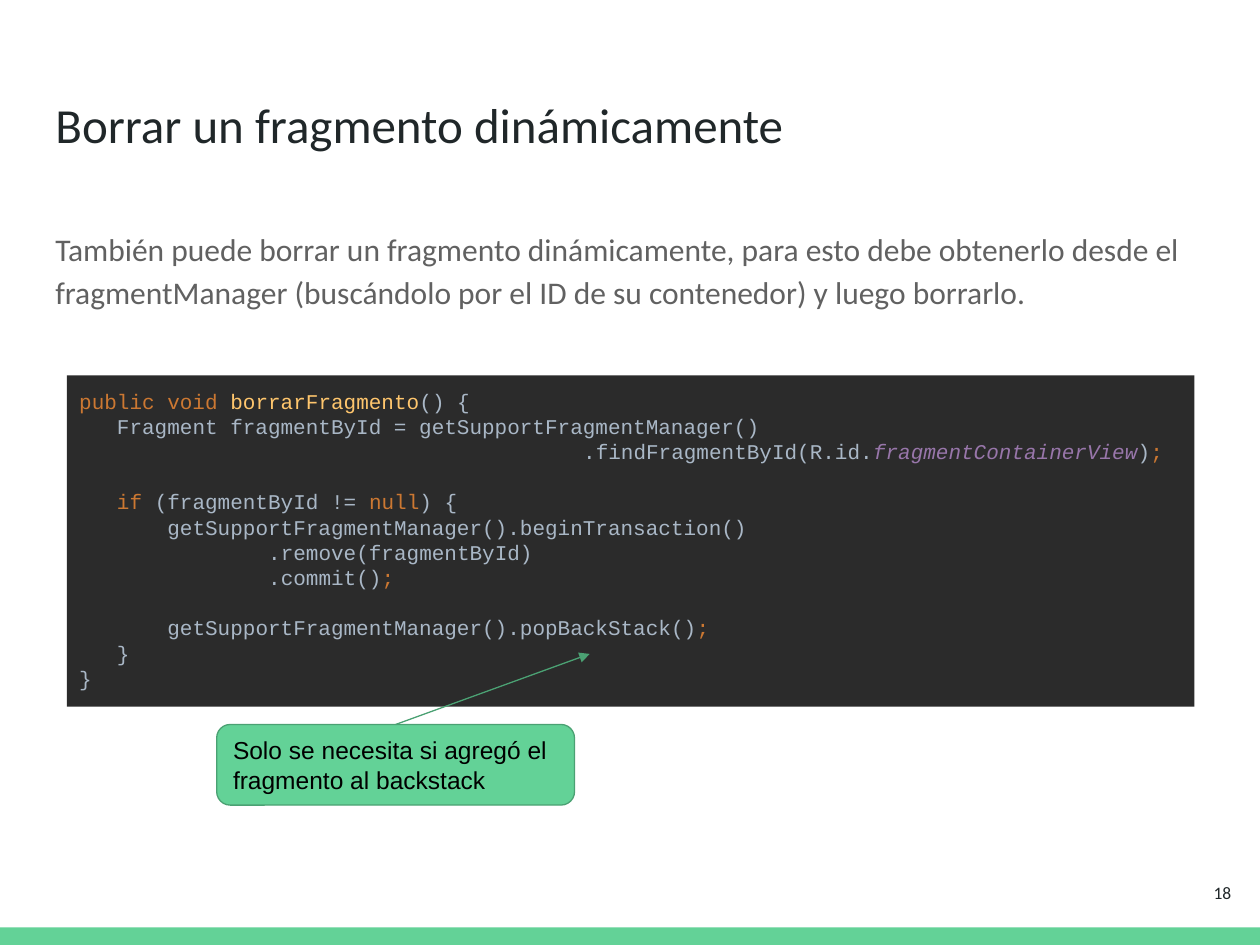
from lxml import etree
from pptx import Presentation
from pptx.dml.color import RGBColor
from pptx.enum.shapes import MSO_CONNECTOR, MSO_SHAPE
from pptx.enum.text import MSO_ANCHOR, MSO_AUTO_SIZE, PP_ALIGN
from pptx.oxml.ns import qn
from pptx.util import Inches, Pt

GREEN, DARK_GREEN, INK, GREY = "63D297", "4BA173", "202729", "616161"
CODE_BG, KEYWORD, METHOD, PLAIN, FIELD = "2B2B2B", "CC7832", "FFC66D", "A9B7C6", "9876AA"
CHAR_WIDTH = 0.1
LINE_HEIGHT = 14.4

# Each line: indent in characters, blank lines before it, coloured parts
CODE = [
    (0, 0, [("public void ", KEYWORD), ("borrarFragmento", METHOD), ("() {", PLAIN)]),
    (3, 0, [("Fragment fragmentById = getSupportFragmentManager()", PLAIN)]),
    (40, 0, [(".findFragmentById(R.id.", PLAIN), ("fragmentContainerView", FIELD),
             (")", PLAIN), (";", KEYWORD)]),
    (3, 1, [("if ", KEYWORD), ("(fragmentById != ", PLAIN), ("null", KEYWORD), (") {", PLAIN)]),
    (7, 0, [("getSupportFragmentManager().beginTransaction()", PLAIN)]),
    (15, 0, [(".remove(fragmentById)", PLAIN)]),
    (15, 0, [(".commit()", PLAIN), (";", KEYWORD)]),
    (7, 1, [("getSupportFragmentManager().popBackStack()", PLAIN), (";", KEYWORD)]),
    (3, 0, [("}", PLAIN)]),
    (0, 0, [("}", PLAIN)]),
]


def rgb(value):
    return RGBColor.from_string(value)


def set_attrs(obj, values):
    for name, value in values.items():
        setattr(obj, name, value)


def prepare_frame(sp, anchor=MSO_ANCHOR.TOP):
    tf = sp.text_frame
    margins = {f"margin_{side}": Inches(0.1) for side in ("left", "top", "right", "bottom")}
    set_attrs(tf, {**margins, "word_wrap": True, "auto_size": MSO_AUTO_SIZE.NONE,
                   "vertical_anchor": anchor})
    return tf


def add_run(p, text, size, font, color, italic=False):
    r = p.add_run()
    r.text = text
    set_attrs(r.font, {"size": Pt(size), "name": font, "italic": italic})
    r.font.color.rgb = rgb(color)


def add_box(slide, kind, box, fill, line=None):
    sp = slide.shapes.add_shape(kind, *map(Inches, box))
    sp.shadow.inherit = False
    sp.fill.solid()
    sp.fill.fore_color.rgb = rgb(fill)
    if line:
        sp.line.color.rgb = rgb(line)
        sp.line.width = Pt(0.75)
    else:
        sp.line.fill.background()
    return sp


def add_title(slide, box, text):
    sp = slide.shapes.title
    set_attrs(sp, dict(zip(("left", "top", "width", "height"), map(Inches, box))))
    p = prepare_frame(sp).paragraphs[0]
    p.alignment = PP_ALIGN.LEFT
    add_run(p, text, 28, "Calibri", INK)


def add_text(slide, box, text, size, color, anchor=MSO_ANCHOR.TOP, **paragraph):
    sp = slide.shapes.add_textbox(*map(Inches, box))
    p = prepare_frame(sp, anchor).paragraphs[0]
    set_attrs(p, paragraph)
    add_run(p, text, size, "Calibri", color)


def add_code(slide, box, lines):
    tf = prepare_frame(add_box(slide, MSO_SHAPE.RECTANGLE, box, CODE_BG))
    for i, (indent, blanks, parts) in enumerate(lines):
        p = tf.add_paragraph() if i else tf.paragraphs[0]
        set_attrs(p, {"alignment": PP_ALIGN.LEFT, "line_spacing": Pt(LINE_HEIGHT),
                      "space_before": Pt(blanks * LINE_HEIGHT)})
        p._p.get_or_add_pPr().set("marL", str(Inches(indent * CHAR_WIDTH)))
        for text, color in parts:
            add_run(p, text, 12, "Courier New", color, italic=color == FIELD)


def add_callout(slide, box, text, target):
    """Rounded note with an arrow from its top to the target point."""
    note = add_box(slide, MSO_SHAPE.ROUNDED_RECTANGLE, box, GREEN, DARK_GREEN)
    p = prepare_frame(note, MSO_ANCHOR.MIDDLE).paragraphs[0]
    p.alignment = PP_ALIGN.LEFT
    add_run(p, text, 14, "Arial", "000000")

    arrow = slide.shapes.add_connector(MSO_CONNECTOR.STRAIGHT, 0, 0, *map(Inches, target))
    arrow.begin_connect(note, 0)
    arrow.line.color.rgb = rgb(DARK_GREEN)
    arrow.line.width = Pt(0.75)
    etree.SubElement(arrow.line._get_or_add_ln(), qn("a:tailEnd"), type="triangle")
    etree.SubElement(arrow._element.spPr, qn("a:effectLst"))


def main():
    prs = Presentation()
    prs.slide_width, prs.slide_height = Inches(10), Inches(7.5)
    slide = prs.slides.add_slide(prs.slide_layouts[5])

    add_box(slide, MSO_SHAPE.RECTANGLE, (0, 7.36, 10, 0.14), GREEN)
    add_title(slide, (0.34, 0.65, 9.32, 0.83), "Borrar un fragmento dinámicamente")
    add_text(slide, (0.34, 1.68, 9.32, 1.37),
             "También puede borrar un fragmento dinámicamente, para esto debe obtenerlo desde el "
             "fragmentManager (buscándolo por el ID de su contenedor) y luego borrarlo.",
             18, GREY, line_spacing=1.15, space_after=Pt(16))
    add_text(slide, (9.27, 6.8, 0.6, 0.57), "18", 10, INK, MSO_ANCHOR.MIDDLE,
             alignment=PP_ALIGN.RIGHT)
    add_code(slide, (0.53, 2.98, 8.95, 2.63), CODE)
    add_callout(slide, (1.72, 5.75, 2.84, 0.64),
                "Solo se necesita si agregó el fragmento al backstack", (4.68, 5.19))
    prs.save("out.pptx")


if __name__ == "__main__":
    main()
